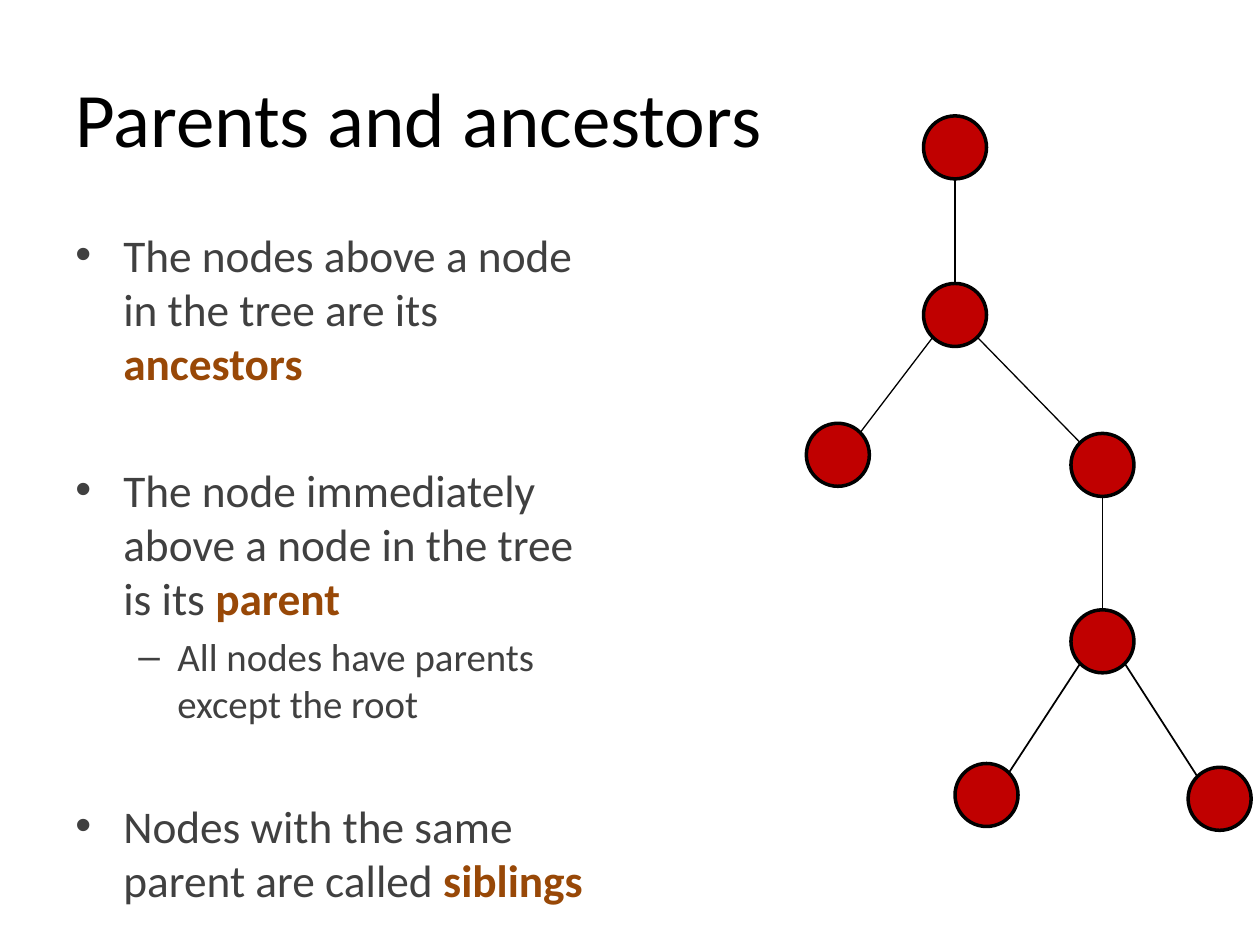
from dataclasses import dataclass
from math import sqrt

from lxml.etree import SubElement
from pptx import Presentation
from pptx.dml.color import RGBColor
from pptx.enum.shapes import MSO_CONNECTOR, MSO_SHAPE
from pptx.enum.text import MSO_ANCHOR
from pptx.oxml.ns import qn
from pptx.slide import Slide
from pptx.text.text import TextFrame
from pptx.util import Inches, Pt

BLACK = RGBColor(0x00, 0x00, 0x00)
GRAY = RGBColor(0x40, 0x40, 0x40)
BROWN = RGBColor(0x98, 0x48, 0x07)
RED = RGBColor(0xC0, 0x00, 0x00)
FONT = "Calibri"
RADIUS = 0.25  # of a tree node, in inches


@dataclass(frozen=True)
class Level:
    bullet: str
    size: float
    margin: float
    hanging: float


@dataclass(frozen=True)
class Point:
    level: Level
    text: str
    term: str = ""
    space_before: float = 0


@dataclass(frozen=True)
class Node:
    x: float  # centre
    y: float


@dataclass(frozen=True)
class Edge:
    parent: Node
    child: Node
    width: float = 0.75


MAIN = Level("•", 25.9, 0.38, 0.38)
SUB = Level("–", 22.2, 0.81, 0.31)

POINTS = [
    Point(MAIN, "The nodes above a node in the tree are its ", "ancestors"),
    Point(MAIN, "The node immediately above a node in the tree is its ", "parent", 41),
    Point(SUB, "All nodes have parents except the root", space_before=4.5),
    Point(MAIN, "Nodes with the same parent are called ", "siblings", 41),
]

# Tree: nodes by generation
ROOT = Node(7.58, 1.17)
FORK = Node(7.58, 2.5)
LEFT_LEAF = Node(6.65, 3.61)
RIGHT_CHILD = Node(8.75, 3.69)
LOWER_FORK = Node(8.75, 5.09)
LEFT_SIBLING = Node(7.83, 6.31)
RIGHT_SIBLING = Node(9.68, 6.34)
NODES = [ROOT, FORK, LEFT_LEAF, RIGHT_CHILD, LOWER_FORK, LEFT_SIBLING, RIGHT_SIBLING]
EDGES = [
    Edge(ROOT, FORK),
    Edge(FORK, LEFT_LEAF),
    Edge(FORK, RIGHT_CHILD),
    Edge(RIGHT_CHILD, LOWER_FORK),
    Edge(LOWER_FORK, LEFT_SIBLING, 1),
    Edge(LOWER_FORK, RIGHT_SIBLING, 1),
]


def add_text_frame(slide: Slide, left: float, top: float, width: float, height: float) -> TextFrame:
    box = slide.shapes.add_textbox(Inches(left), Inches(top), Inches(width), Inches(height))
    box.text_frame.word_wrap = True
    return box.text_frame


def style_run(run, size: float, color: RGBColor, bold: bool = False) -> None:
    run.font.name = FONT
    run.font.size = Pt(size)
    run.font.color.rgb = color
    run.font.bold = bold


def write_point(paragraph, point: Point) -> None:
    level = point.level
    paragraph.text = point.text
    paragraph.space_before = Pt(point.space_before)
    style_run(paragraph.runs[0], level.size, GRAY)
    if point.term:
        term = paragraph.add_run()
        term.text = point.term
        style_run(term, level.size, BROWN, bold=True)
    properties = paragraph._p.get_or_add_pPr()
    properties.set("marL", str(Inches(level.margin)))
    properties.set("indent", str(-Inches(level.hanging)))
    SubElement(properties, qn("a:buFont")).set("typeface", "Arial")
    SubElement(properties, qn("a:buChar")).set("char", level.bullet)


def draw_edge(slide: Slide, edge: Edge) -> None:
    """Leave the parent straight down or at 45 degrees, and meet the child likewise."""
    parent, child = edge.parent, edge.child
    side = (child.x > parent.x) - (child.x < parent.x)
    reach = RADIUS / sqrt(2) if side else RADIUS
    line = slide.shapes.add_connector(
        MSO_CONNECTOR.STRAIGHT,
        Inches(parent.x + side * reach), Inches(parent.y + reach),
        Inches(child.x - side * reach), Inches(child.y - reach),
    )
    line.line.color.rgb = BLACK
    line.line.width = Pt(edge.width)
    SubElement(line._element.spPr, qn("a:effectLst"))


def draw_node(slide: Slide, node: Node) -> None:
    circle = slide.shapes.add_shape(
        MSO_SHAPE.OVAL, Inches(node.x - RADIUS), Inches(node.y - RADIUS),
        Inches(2 * RADIUS), Inches(2 * RADIUS),
    )
    circle.shadow.inherit = False
    circle.fill.solid()
    circle.fill.fore_color.rgb = RED
    circle.line.color.rgb = BLACK
    circle.line.width = Pt(2)


def main() -> None:
    presentation = Presentation()
    presentation.slide_width = Inches(10)
    presentation.slide_height = Inches(7.5)
    slide = presentation.slides.add_slide(presentation.slide_layouts[6])

    # Title
    title = add_text_frame(slide, 0.5, 0.3, 9, 1.25)
    title.vertical_anchor = MSO_ANCHOR.MIDDLE
    title.text = "Parents and ancestors"
    style_run(title.paragraphs[0].runs[0], 44, BLACK)

    # Definitions
    definitions = add_text_frame(slide, 0.5, 1.75, 4.42, 5.75)
    for index, point in enumerate(POINTS):
        paragraph = definitions.add_paragraph() if index else definitions.paragraphs[0]
        write_point(paragraph, point)

    # Tree
    for node in NODES:
        draw_node(slide, node)
    for edge in EDGES:
        draw_edge(slide, edge)

    presentation.save("out.pptx")


if __name__ == "__main__":
    main()
